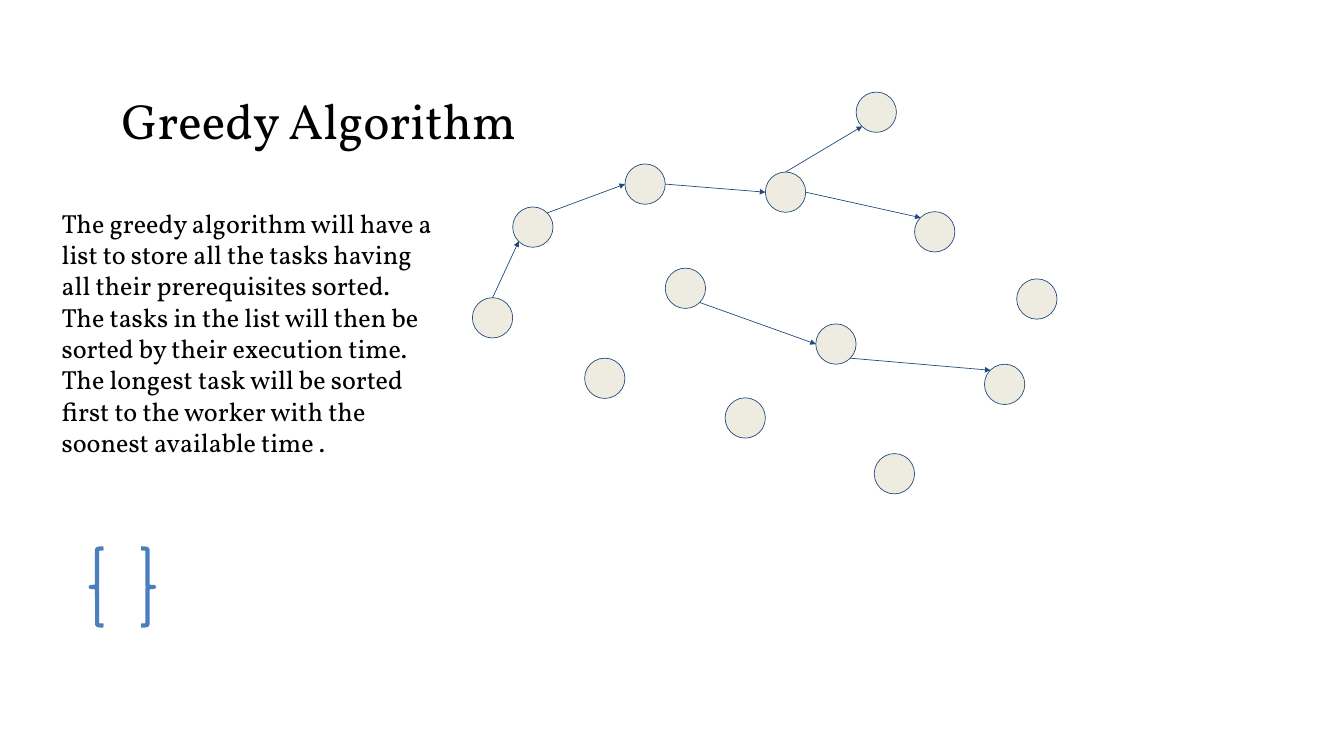
from lxml import etree
from pptx import Presentation
from pptx.dml.color import RGBColor
from pptx.enum.shapes import MSO_CONNECTOR, MSO_SHAPE
from pptx.enum.text import MSO_AUTO_SIZE
from pptx.oxml.ns import qn
from pptx.util import Pt

STRAIGHT = MSO_CONNECTOR.STRAIGHT
OVAL = MSO_SHAPE.OVAL
LEFT_BRACE = MSO_SHAPE.LEFT_BRACE
RIGHT_BRACE = MSO_SHAPE.RIGHT_BRACE
FIT_SHAPE = MSO_AUTO_SIZE.SHAPE_TO_FIT_TEXT

PX = 9144
FONT = "Vollkorn"
COLORS = {"text": "000000", "node": "EEECE1", "edge": "1F497D", "brace": "4B7EBC"}
NODE = 60
NEAR, MID, FAR = 9, NODE // 2, NODE - 9
SITES = {
    "top": (MID, 0),
    "left": (0, MID),
    "right": (NODE, MID),
    "top_left": (NEAR, NEAR),
    "top_right": (FAR, NEAR),
    "bottom_left": (NEAR, FAR),
    "bottom_right": (FAR, FAR),
}


def set_line(line, color, width):
    line.color.rgb = RGBColor.from_string(COLORS[color])
    line.width = Pt(width)


def add_text(text, box, size, inset):
    tf = s.shapes.add_textbox(*[v * PX for v in box]).text_frame
    tf.word_wrap = True
    tf.auto_size = FIT_SHAPE
    tf.margin_left = tf.margin_right = 10 * PX
    tf.margin_top = tf.margin_bottom = inset * PX
    p = tf.paragraphs[0]
    p.text = text
    p.font.name = FONT
    p.font.size = Pt(size)
    p.font.color.rgb = RGBColor.from_string(COLORS["text"])


prs = Presentation()
prs.slide_width = 2000 * PX
prs.slide_height = 1125 * PX
s = prs.slides.add_slide(prs.slide_layouts[6])

add_text("Greedy Algorithm", (171, 124, 721, 109), 53, 10)

nodes = {
    "second": (763, 308),
    "start": (703, 443),
    "single_1": (870, 533),
    "single_3": (1301, 675),
    "single_2": (1079, 592),
    "chain_3": (1465, 542),
    "upper_end": (1274, 137),
    "single_4": (1513, 415),
    "lower_end": (1361, 315),
    "chain_2": (1214, 482),
    "chain_1": (990, 399),
    "fork": (1139, 256),
    "third": (930, 244),
}
for x, y in nodes.values():
    sp = s.shapes.add_shape(OVAL, x * PX, y * PX, NODE * PX, NODE * PX)
    sp.shadow.inherit = False
    sp.fill.solid()
    sp.fill.fore_color.rgb = RGBColor.from_string(COLORS["node"])
    set_line(sp.line, "edge", 0.75)

edges = [
    ("second", "top_right", "third", "left"),
    ("third", "right", "fork", "left"),
    ("fork", "right", "lower_end", "top_left"),
    ("start", "top", "second", "bottom_left"),
    ("fork", "top", "upper_end", "bottom_left"),
    ("chain_1", "bottom_right", "chain_2", "left"),
    ("chain_2", "bottom_right", "chain_3", "top_left"),
]
for source, source_site, target, target_site in edges:
    ends = []
    for node, site in ((source, source_site), (target, target_site)):
        ends += [(a + b) * PX for a, b in zip(nodes[node], SITES[site])]
    edge = s.shapes.add_connector(STRAIGHT, *ends)
    set_line(edge.line, "edge", 0.75)
    etree.SubElement(edge.line._get_or_add_ln(), qn("a:tailEnd"), type="triangle")
    etree.SubElement(edge._element.spPr, qn("a:effectLst"))

for brace, x in ((LEFT_BRACE, 135), (RIGHT_BRACE, 210)):
    sp = s.shapes.add_shape(brace, x * PX, 816 * PX, 19 * PX, 115 * PX)
    sp.shadow.inherit = False
    sp.fill.background()
    set_line(sp.line, "brace", 4.5)

add_text(
    "The greedy algorithm will have a list to store all the tasks having all their "
    "prerequisites sorted.  The tasks in the list will then be sorted by their "
    "execution time. The longest task will be sorted first to the worker with the "
    "soonest available time .",
    (82, 303, 581, 387), 28, 5,
)

prs.save("out.pptx")
